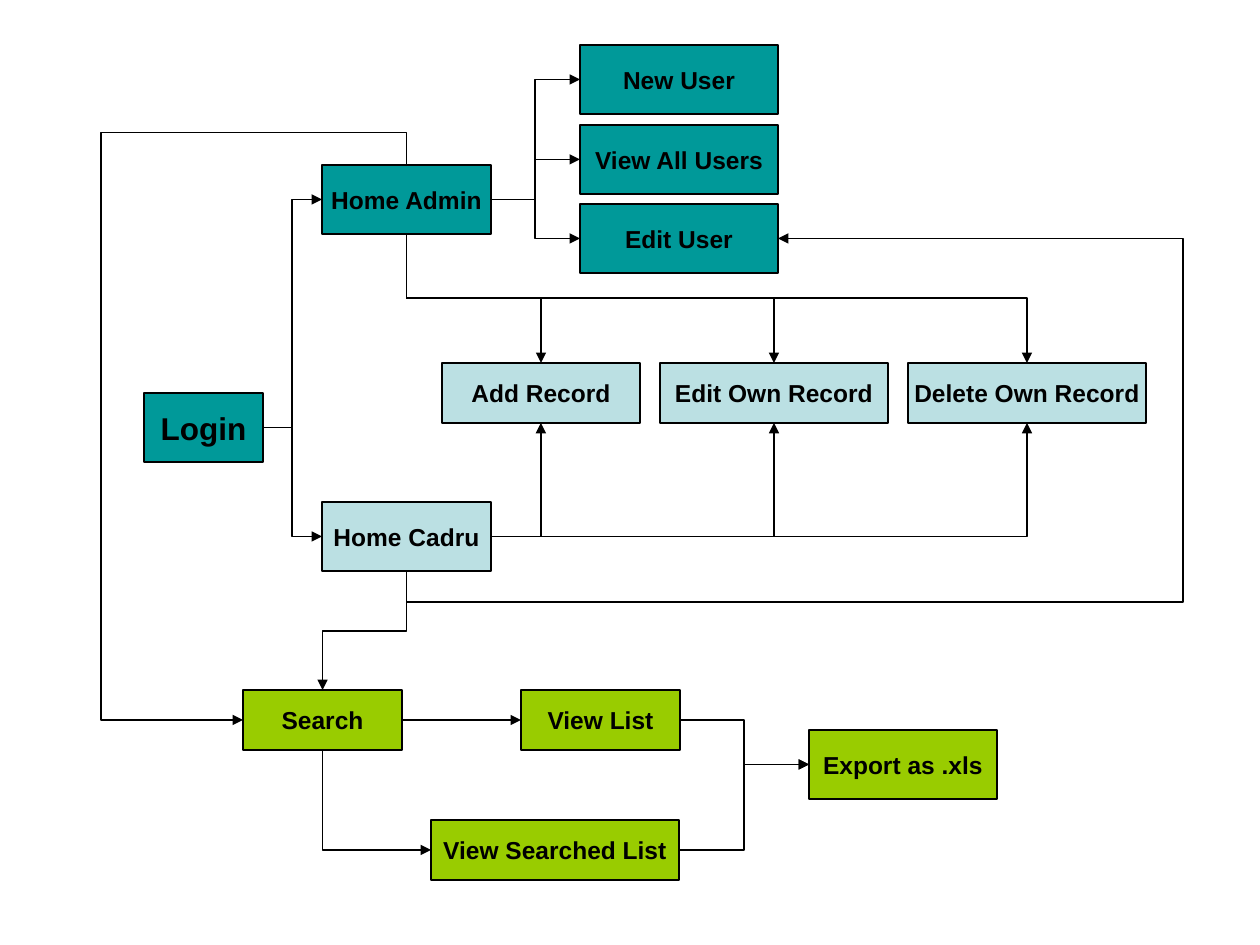
from lxml.etree import SubElement
from pptx import Presentation
from pptx.dml.color import RGBColor
from pptx.enum.shapes import MSO_CONNECTOR, MSO_SHAPE
from pptx.enum.text import MSO_ANCHOR, PP_ALIGN
from pptx.oxml.ns import qn
from pptx.util import Pt

EMU_PER_PX = 914400 / 126
TOP, LEFT, BOTTOM, RIGHT = range(4)
TEAL, PALE, GREEN, BLACK = "009999", "BBE0E3", "99CC00", "000000"

# name: (left, top, width, height, fill)
BOXES = {
    "Login": (144, 393, 119, 69, TEAL),
    "Home Admin": (322, 165, 169, 69, TEAL),
    "Home Cadru": (322, 502, 169, 69, PALE),
    "New User": (580, 45, 198, 69, TEAL),
    "View All Users": (580, 125, 198, 69, TEAL),
    "Edit User": (580, 204, 198, 69, TEAL),
    "Add Record": (442, 363, 198, 60, PALE),
    "Edit Own Record": (660, 363, 228, 60, PALE),
    "Delete Own Record": (908, 363, 238, 60, PALE),
    "Search": (243, 690, 159, 60, GREEN),
    "View List": (521, 690, 159, 60, GREEN),
    "View Searched List": (431, 820, 248, 60, GREEN),
    "Export as .xls": (809, 730, 188, 69, GREEN),
}


def px(length):
    return round(length * EMU_PER_PX)


def color(hex_text):
    return RGBColor.from_string(hex_text)


def add_box(page, name, left, top, width, height, fill):
    box = page.shapes.add_shape(
        MSO_SHAPE.RECTANGLE, px(left), px(top), px(width), px(height))
    box.shadow.inherit = False
    box.fill.solid()
    box.fill.fore_color.rgb = color(fill)
    box.line.color.rgb = color(BLACK)
    box.line.width = Pt(0.75)
    frame = box.text_frame
    frame.text = name
    frame.word_wrap = False
    frame.vertical_anchor = MSO_ANCHOR.MIDDLE
    para = frame.paragraphs[0]
    para.alignment = PP_ALIGN.CENTER
    font = para.runs[0].font
    font.name = "Arial"
    font.size = Pt(18 if name == "Login" else 14)
    font.bold = True
    font.color.rgb = color(BLACK)
    return box


def add_arrow(page, source, source_side, target, target_side,
              kind=MSO_CONNECTOR.STRAIGHT):
    arrow = page.shapes.add_connector(kind, 0, 0, 0, 0)
    arrow.begin_connect(source, source_side)
    arrow.end_connect(target, target_side)
    arrow.line.color.rgb = color(BLACK)
    arrow.line.width = Pt(0.75)
    SubElement(arrow.line._get_or_add_ln(), qn("a:tailEnd"), type="triangle")
    SubElement(arrow._element.spPr, qn("a:effectLst"))
    return arrow


def add_elbow(page, source, source_side, target, target_side, *lanes):
    """Bend an arrow through lanes: absolute px, first along its starting axis."""
    arrow = add_arrow(page, source, source_side, target, target_side,
                      MSO_CONNECTOR.ELBOW)
    start, end = (arrow.begin_x, arrow.begin_y), (arrow.end_x, arrow.end_y)
    across, down = end[0] - start[0], end[1] - start[1]
    vertical = source_side in (TOP, BOTTOM)
    along, aside = (down, -across) if vertical else (across, down)

    arrow.width, arrow.height = abs(along), abs(aside)
    arrow.left = (start[0] + end[0] - abs(along)) // 2
    arrow.top = (start[1] + end[1] - abs(aside)) // 2
    properties = arrow._element.spPr
    frame = properties.find(qn("a:xfrm"))
    frame.set("rot", "5400000" if vertical else "0")
    frame.set("flipH", str(int(along < 0)))
    frame.set("flipV", str(int(aside < 0)))

    geometry = properties.find(qn("a:prstGeom"))
    geometry.set("prst", f"bentConnector{2 + len(lanes)}")
    guides = geometry.find(qn("a:avLst"))
    axes = (1, 0) if vertical else (0, 1)
    for number, (lane, axis) in enumerate(zip(lanes, axes), start=1):
        share = (px(lane) - start[axis]) / (end[axis] - start[axis])
        SubElement(guides, qn("a:gd"), name=f"adj{number}",
                   fmla=f"val {round(share * 100000)}")


def main():
    deck = Presentation()
    deck.slide_width, deck.slide_height = px(1260), px(945)
    page = deck.slides.add_slide(deck.slide_layouts[6])
    boxes = {name: add_box(page, name, *look) for name, look in BOXES.items()}

    def link(source, source_side, target, target_side, *lanes):
        add_elbow(page, boxes[source], source_side,
                  boxes[target], target_side, *lanes)

    for home in ("Home Admin", "Home Cadru"):
        link("Login", RIGHT, home, LEFT, 292)
    for user_page in ("New User", "View All Users", "Edit User"):
        link("Home Admin", RIGHT, user_page, LEFT, 535)
    for record_page in ("Add Record", "Edit Own Record", "Delete Own Record"):
        link("Home Admin", BOTTOM, record_page, TOP, 298)
        link("Home Cadru", RIGHT, record_page, BOTTOM)
    link("Home Cadru", BOTTOM, "Edit User", RIGHT, 602, 1183)
    link("Home Admin", TOP, "Search", LEFT, 133, 101)
    link("Home Cadru", BOTTOM, "Search", TOP, 631)
    add_arrow(page, boxes["Search"], RIGHT, boxes["View List"], LEFT)
    link("Search", BOTTOM, "View Searched List", LEFT)
    for list_page in ("View List", "View Searched List"):
        link(list_page, RIGHT, "Export as .xls", LEFT, 744)

    deck.save("out.pptx")


if __name__ == "__main__":
    main()
